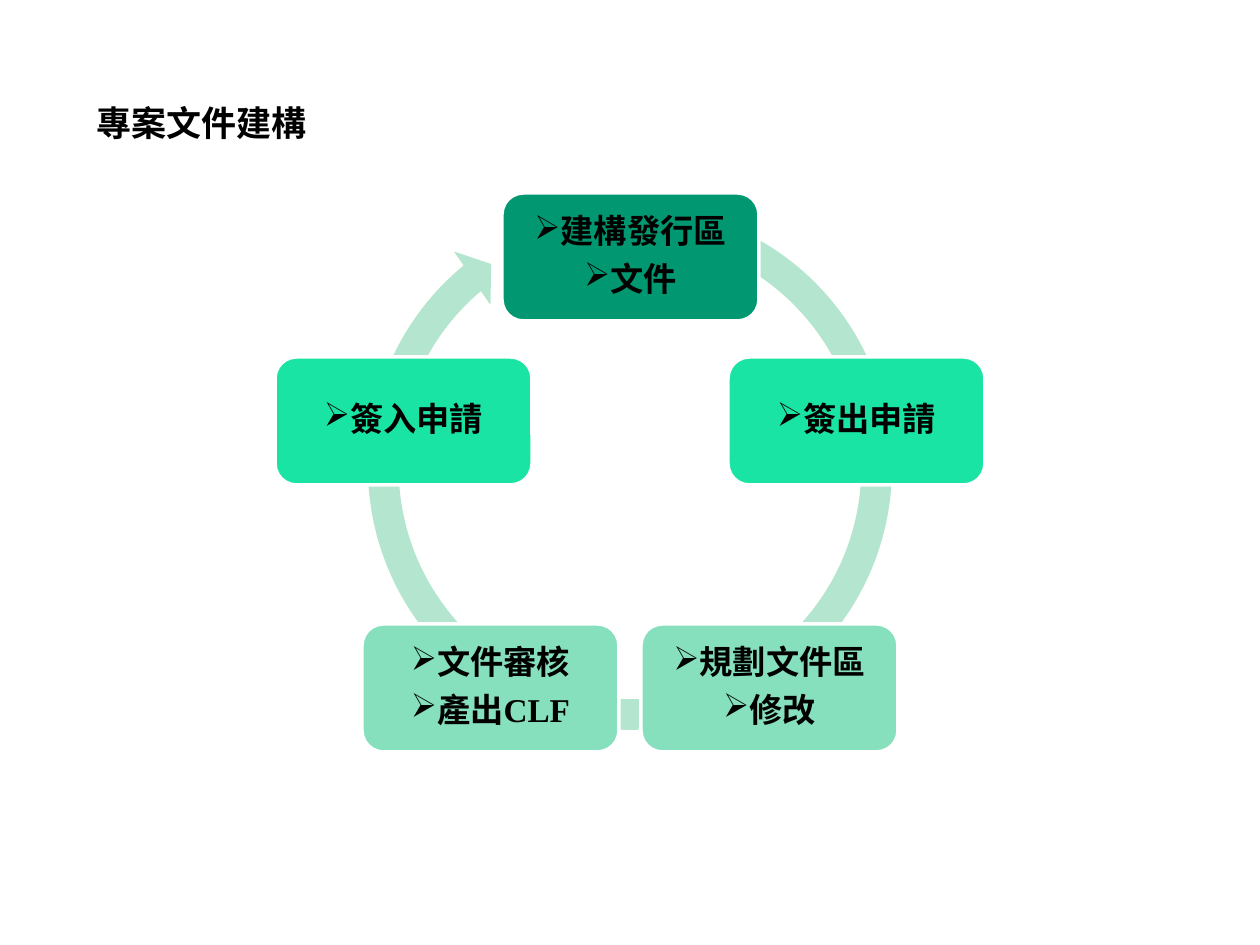
from math import cos, radians, sin

from lxml.etree import SubElement
from pptx import Presentation
from pptx.dml.color import RGBColor
from pptx.enum.shapes import MSO_SHAPE as Shape
from pptx.enum.text import MSO_ANCHOR as Anchor, PP_ALIGN as Align
from pptx.oxml.ns import qn
from pptx.util import Emu, Pt

SCALE = 914400 // 126  # EMU per px
BLACK = RGBColor(0x00, 0x00, 0x00)
WHITE = RGBColor(0xFF, 0xFF, 0xFF)
RING = RGBColor(0xB4, 0xE5, 0xCF)
DARK = RGBColor(0x00, 0x97, 0x71)
BRIGHT = RGBColor(0x1A, 0xE4, 0xA3)
PALE = RGBColor(0x86, 0xE0, 0xBD)


def px(*lengths):
    return [Emu(round(length) * SCALE) for length in lengths]


def write(para, text, size):
    span = para.add_run()
    span.text = text
    font_format = {"name": "Times New Roman", "size": Pt(size), "bold": True}
    for name, value in font_format.items():
        setattr(span.font, name, value)
    span.font.color.rgb = BLACK


deck = Presentation()
deck.slide_width, deck.slide_height = px(1260, 945)
page = deck.slides.add_slide(deck.slide_layouts[6])

# Title
title = page.shapes.add_textbox(*px(84, 92, 1081, 60)).text_frame
title.word_wrap = True
title.vertical_anchor = Anchor.MIDDLE
write(title.paragraphs[0], "專案文件建構", 20)

# Circular arrow behind the steps
ring = page.shapes.add_shape(Shape.CIRCULAR_ARROW, *px(351, 189, 558, 558))
for index, value in enumerate((0.055, 3.307, 138.152, 173.621, 0.058)):
    ring.adjustments[index] = value
ring.shadow.inherit = False
ring.fill.solid()
ring.fill.fore_color.rgb = RING
ring.line.fill.background()

# Five steps, evenly spaced clockwise from the top
CENTER_X, CENTER_Y, RADIUS = 630, 495, 238
BOX_W, BOX_H = 257, 128
steps = [
    (DARK, ["建構發行區", "文件"]),
    (BRIGHT, ["簽出申請"]),
    (PALE, ["規劃文件區", "修改"]),
    (PALE, ["文件審核", "產出CLF"]),
    (BRIGHT, ["簽入申請"]),
]
inset, = px(16)
frame_format = {
    "word_wrap": True, "vertical_anchor": Anchor.MIDDLE,
    "margin_left": inset, "margin_right": inset,
    "margin_top": inset, "margin_bottom": inset,
}
for number, (color, lines) in enumerate(steps):
    angle = radians(360 / len(steps) * number)
    left = CENTER_X + RADIUS * sin(angle) - BOX_W / 2
    top = CENTER_Y - RADIUS * cos(angle) - BOX_H / 2
    box = page.shapes.add_shape(Shape.ROUNDED_RECTANGLE, *px(left, top, BOX_W, BOX_H))
    box.shadow.inherit = False
    box.fill.solid()
    box.fill.fore_color.rgb = color
    box.line.color.rgb = WHITE
    box.line.width = Pt(2)

    frame = box.text_frame
    for name, value in frame_format.items():
        setattr(frame, name, value)
    for row, text in enumerate(lines):
        para = frame.add_paragraph() if row else frame.paragraphs[0]
        para.alignment = Align.CENTER
        para.line_spacing = 0.9
        # Proportional space after, then the arrow bullet
        props = para._p.get_or_add_pPr()
        props.set("marL", "0")
        props.set("indent", "0")
        after = SubElement(props, qn("a:spcAft"))
        SubElement(after, qn("a:spcPct"), val="35000")
        SubElement(props, qn("a:buChar"), char="➢")
        write(para, text, 19)

deck.save("out.pptx")
